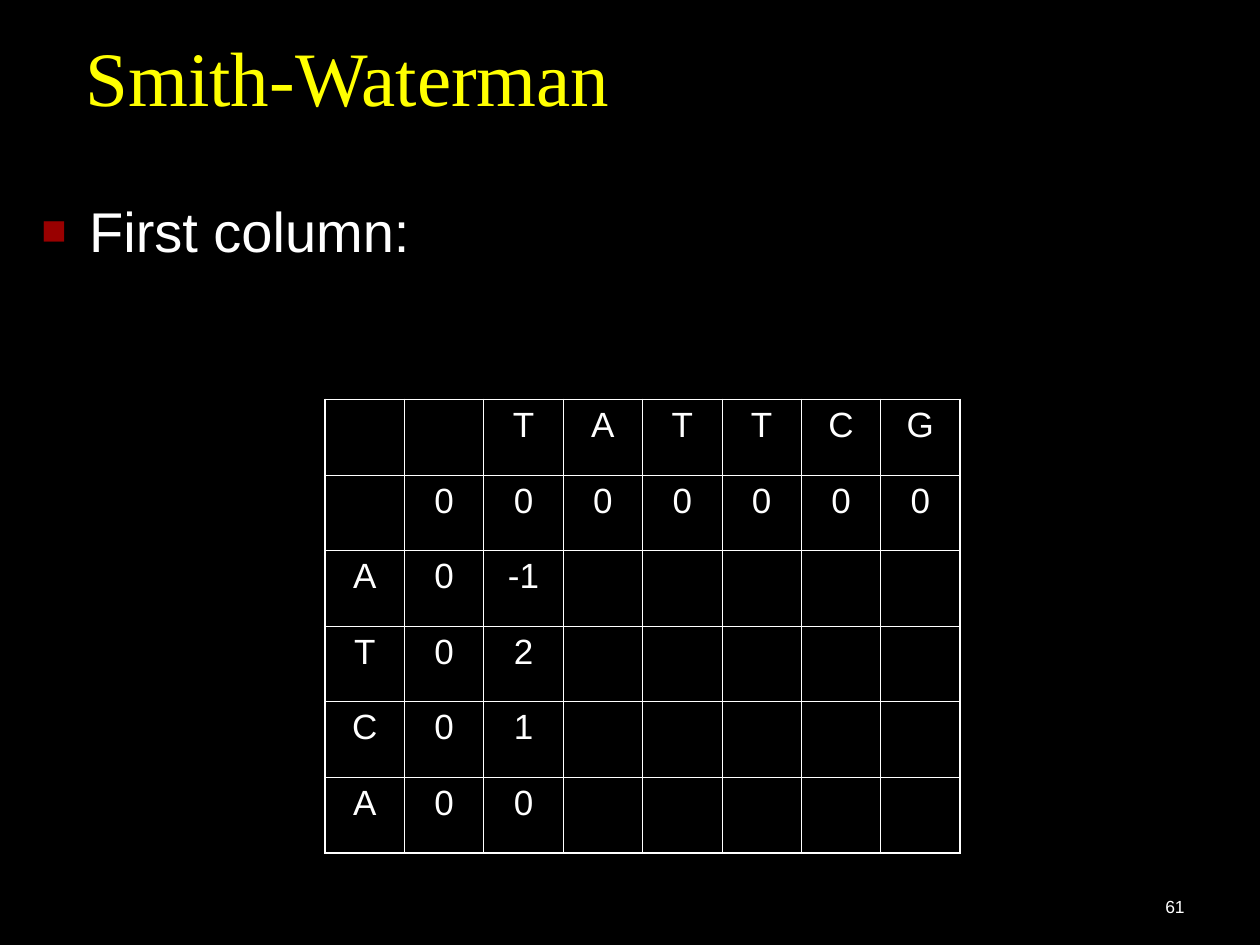
"""Build the Smith-Waterman slide with its alignment matrix after the first column."""
from lxml import etree
from pptx import Presentation
from pptx import util as u
from pptx.dml.color import RGBColor
from pptx.enum import text
from pptx.oxml.ns import qn

BLACK = RGBColor(0x00, 0x00, 0x00)
WHITE = RGBColor(0xFF, 0xFF, 0xFF)
YELLOW = RGBColor(0xFF, 0xFF, 0x00)
DARK_RED = RGBColor(0x99, 0x00, 0x00)
CELL_WIDTH, CELL_HEIGHT = u.Inches(0.63), u.Inches(0.6)
THIN, THICK = u.Pt(0.45), u.Pt(1.08)
MATRIX = [
    ["", "", "T", "A", "T", "T", "C", "G"],
    ["", "0", "0", "0", "0", "0", "0", "0"],
    ["A", "0", "-1", "", "", "", "", ""],
    ["T", "0", "2", "", "", "", "", ""],
    ["C", "0", "1", "", "", "", "", ""],
    ["A", "0", "0", "", "", "", "", ""],
]


def add_span(para, words, size, color=WHITE, font="Arial"):
    span = para.add_run()
    span.text = words
    span.font.size = u.Pt(size)
    span.font.name = font
    span.font.color.rgb = color


def add_border(cell, side, width):
    line = etree.SubElement(cell._tc.get_or_add_tcPr(), qn(f"a:ln{side}"), w=str(width))
    fill = etree.SubElement(line, qn("a:solidFill"))
    etree.SubElement(fill, qn("a:srgbClr"), val=str(WHITE))


deck = Presentation()
deck.slide_width, deck.slide_height = u.Inches(10), u.Inches(7.5)
page = deck.slides.add_slide(deck.slide_layouts[5])
page.background.fill.solid()
page.background.fill.fore_color.rgb = BLACK

title = page.shapes.title
title.left, title.top = u.Inches(0.58), u.Inches(0.23)
title.width, title.height = u.Inches(8.92), u.Inches(0.78)
title.text_frame.auto_size = text.MSO_AUTO_SIZE.NONE
title.text_frame.vertical_anchor = text.MSO_ANCHOR.BOTTOM
para = title.text_frame.paragraphs[0]
para.alignment = text.PP_ALIGN.LEFT
para.line_spacing = 0.8
add_span(para, "Smith-Waterman", 44, YELLOW, "Times New Roman")

rows, columns = len(MATRIX), len(MATRIX[0])
frame = page.shapes.add_table(rows, columns, u.Inches(2.58), u.Inches(3.17),
                              columns * CELL_WIDTH, rows * CELL_HEIGHT)
table = frame.table
table.first_row = table.horz_banding = False
for column in table.columns:
    column.width = CELL_WIDTH
for row, values in enumerate(MATRIX):
    table.rows[row].height = CELL_HEIGHT
    for column, value in enumerate(values):
        cell = table.cell(row, column)
        outer = {"L": column == 0, "R": column == columns - 1,
                 "T": row == 0, "B": row == rows - 1}
        for side, is_outer in outer.items():
            add_border(cell, side, THICK if is_outer else THIN)
        cell.fill.background()
        if value:
            para = cell.text_frame.paragraphs[0]
            para.alignment = text.PP_ALIGN.CENTER
            add_span(para, value, 20)

box = page.shapes.add_textbox(u.Inches(0.23), u.Inches(1.51), u.Inches(9.77), u.Inches(3.57))
box.text_frame.word_wrap = True
para = box.text_frame.paragraphs[0]
properties = para._p.get_or_add_pPr()
properties.set("marL", str(u.Inches(0.38)))
properties.set("indent", str(-u.Inches(0.38)))
bullet_color = etree.SubElement(properties, qn("a:buClr"))
etree.SubElement(bullet_color, qn("a:srgbClr"), val=str(DARK_RED))
etree.SubElement(properties, qn("a:buSzPct"), val="75000")
etree.SubElement(properties, qn("a:buFont"), typeface="Arial")
etree.SubElement(properties, qn("a:buChar"), char="■")
add_span(para, "First column:", 32)

number = page.shapes.add_textbox(u.Inches(7.42), u.Inches(6.83), u.Inches(2.08), u.Inches(0.5))
number.text_frame.word_wrap = True
number.text_frame.vertical_anchor = text.MSO_ANCHOR.BOTTOM
para = number.text_frame.paragraphs[0]
para.alignment = text.PP_ALIGN.RIGHT
add_span(para, "61", 10)

deck.save("out.pptx")
